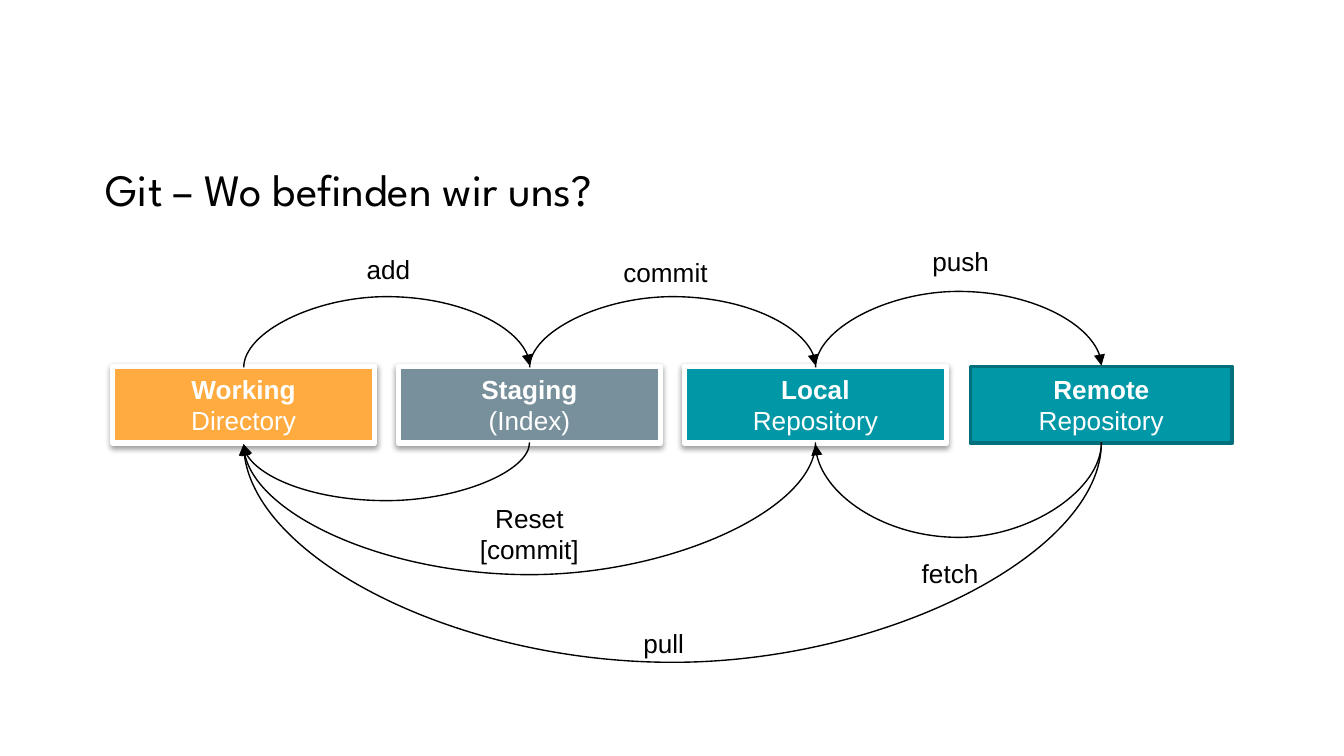
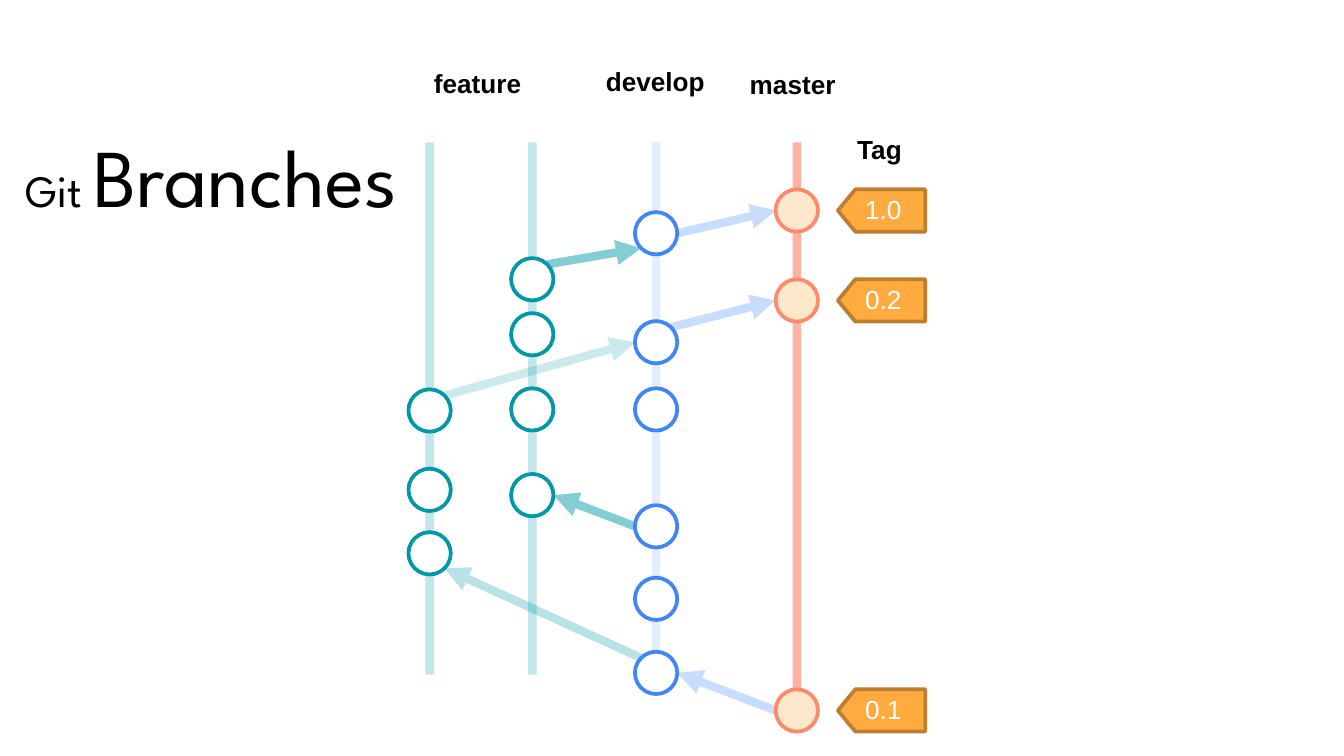
import math
from dataclasses import dataclass

import lxml.etree
import pptx
import pptx.dml.color
import pptx.enum.shapes
import pptx.enum.text
import pptx.oxml.ns
import pptx.util

Cm, Pt = pptx.util.Cm, pptx.util.Pt
SHAPE = pptx.enum.shapes.MSO_SHAPE
CONNECTOR = pptx.enum.shapes.MSO_CONNECTOR
ALIGN = pptx.enum.text.PP_ALIGN
ANCHOR = pptx.enum.text.MSO_ANCHOR
AUTO_SIZE = pptx.enum.text.MSO_AUTO_SIZE


@dataclass(frozen=True)
class Theme:
    title_font: str = "League Spartan"
    body_font: str = "Arial"
    title_size: int = 24
    title_large: int = 44
    body_size: int = 14
    black: str = "000000"
    white: str = "FFFFFF"
    orange: str = "FFAB40"
    orange_dark: str = "BD7F2F"
    slate: str = "78909C"
    teal: str = "0097A7"
    teal_dark: str = "00707C"
    blue: str = "4285F4"
    blue_light: str = "8EB6F8"
    coral: str = "FF5F38"
    coral_light: str = "FE8A6E"
    cream: str = "FEE8CC"


@dataclass(frozen=True)
class Box:
    """Position and size in centimetres."""
    left: float
    top: float
    width: float
    height: float

    def inner(self, left, top, width, height):
        return Box(self.left + left, self.top + top, width, height)

    def lengths(self):
        return [Cm(value) for value in
                (self.left, self.top, self.width, self.height)]


THEME = Theme()
LABEL_HEIGHT = 0.86


# Shared helpers
def rgb(value):
    return pptx.dml.color.RGBColor.from_string(value)


def add_xml(parent, tag, **attributes):
    child = lxml.etree.SubElement(parent, pptx.oxml.ns.qn(tag))
    for name, value in attributes.items():
        child.set(name, str(value))
    return child


def add_span(para, text, size=THEME.body_size, font=THEME.body_font,
             color=THEME.black, bold=False):
    span = para.add_run()
    span.text = text
    span.font.name = font
    span.font.size = Pt(size)
    span.font.bold = bold
    span.font.color.rgb = rgb(color)


def add_label(page, box, text, wrap=True, align=None, **style):
    label = page.shapes.add_textbox(*box.lengths())
    frame = label.text_frame
    frame.word_wrap = wrap
    frame.auto_size = AUTO_SIZE.SHAPE_TO_FIT_TEXT
    para = frame.paragraphs[0]
    para.alignment = align
    add_span(para, text, **style)


def add_block(page, kind, box, fill, line, weight):
    block = page.shapes.add_shape(kind, *box.lengths())
    block.shadow.inherit = False
    block.fill.solid()
    block.fill.fore_color.rgb = rgb(fill)
    block.line.color.rgb = rgb(line)
    block.line.width = Pt(weight)
    return block


def add_line(page, start, end, color, weight, kind=CONNECTOR.STRAIGHT,
             opacity=100, arrow=True):
    line = page.shapes.add_connector(
        kind, *(Cm(value) for value in (*start, *end)))
    line.line.color.rgb = rgb(color)
    line.line.width = Pt(weight)
    properties = line._element.spPr
    outline = properties.find(pptx.oxml.ns.qn("a:ln"))
    if opacity < 100:
        tint = outline.find(".//" + pptx.oxml.ns.qn("a:srgbClr"))
        add_xml(tint, "a:alpha", val=opacity * 1000)
    if arrow:
        add_xml(outline, "a:tailEnd", type="triangle")
    add_xml(properties, "a:effectLst")
    return line


def add_page(deck, box, spans):
    page = deck.slides.add_slide(deck.slide_layouts[5])
    title = page.shapes.title
    title.left, title.top, title.width, title.height = box.lengths()
    frame = title.text_frame
    frame.word_wrap = True
    frame.auto_size = AUTO_SIZE.NONE
    frame.vertical_anchor = ANCHOR.MIDDLE
    frame.margin_left = frame.margin_right = Cm(0.25)
    frame.margin_top = frame.margin_bottom = Cm(0.25)
    para = frame.paragraphs[0]
    para.alignment = ALIGN.LEFT
    for text, size in spans:
        add_span(para, text, size=size, font=THEME.title_font)
    return page


# Areas of a repository
def add_area(page, box, name, detail, fill, line, weight, shadow):
    area = add_block(page, SHAPE.RECTANGLE, box, fill, line, weight)
    if shadow:
        effects = area._element.spPr.find(pptx.oxml.ns.qn("a:effectLst"))
        cast = add_xml(effects, "a:outerShdw", blurRad=Pt(3.1), dist=Pt(1.6),
                       dir=5400000, algn="t", rotWithShape=0)
        tint = add_xml(cast, "a:srgbClr", val=THEME.black)
        add_xml(tint, "a:alpha", val=38000)
    frame = area.text_frame
    frame.word_wrap = True
    frame.auto_size = AUTO_SIZE.SHAPE_TO_FIT_TEXT
    frame.vertical_anchor = ANCHOR.TOP
    first, second = frame.paragraphs[0], frame.add_paragraph()
    first.alignment = second.alignment = ALIGN.CENTER
    add_span(first, name, color=THEME.white, bold=True)
    add_span(second, detail, color=THEME.white)


def add_arc(page, start_x, end_x, y, depth):
    """Arch over the row from left to right, or under it from right to left."""
    middle, half = (start_x + end_x) / 2, (end_x - start_x) / 2
    sliver = Pt(1).cm
    side = math.copysign(sliver / 2, half)
    # The connector is laid out upright and then turned by a quarter
    arc = add_line(page, (middle + side, y + half), (middle - side, y - half),
                   THEME.black, 0.75, kind=CONNECTOR.CURVE)
    properties = arc._element.spPr
    properties.find(pptx.oxml.ns.qn("a:xfrm")).set("rot", "5400000")
    guides = properties.find(".//" + pptx.oxml.ns.qn("a:avLst"))
    bend = round(depth / sliver * 100000)
    add_xml(guides, "a:gd", name="adj1", fmla=f"val {bend}")


def add_workflow(page, box):
    add_block(page, SHAPE.RECTANGLE, box.inner(-0.61, -0.63, 22.43, 6.65),
              THEME.white, THEME.white, 0.75)

    # Row of areas
    areas = [
        ("Working", "Directory", THEME.orange, THEME.white, 3, True),
        ("Staging", "(Index)", THEME.slate, THEME.white, 3, True),
        ("Local", "Repository", THEME.teal, THEME.white, 3, True),
        ("Remote", "Repository", THEME.teal, THEME.teal_dark, 2, False),
    ]
    area_width = 4.95
    step = (box.width - area_width) / (len(areas) - 1)
    for index, area in enumerate(areas):
        add_area(page, box.inner(index * step, 0, area_width, box.height),
                 *area)

    # Commands between areas: from, to, depth of the arc
    arcs = [(0, 1, 1.35), (1, 2, 1.35), (2, 3, 1.45),
            (3, 2, 1.81), (2, 0, 2.52), (1, 0, 1.11), (3, 0, 4.19)]
    first_x = box.left + area_width / 2
    for start, end, depth in arcs:
        y = box.top if start < end else box.top + box.height
        add_arc(page, first_x + start * step, first_x + end * step, y, depth)

    # Names of the commands
    for text, left, top, width in [
            ("add", 4.55, -2.26, 2.08), ("commit", 9.4, -2.21, 2.34),
            ("push", 15.24, -2.41, 2.34), ("fetch", 15.04, 3.48, 2.34),
            ("pull", 9.78, 4.8, 2.34)]:
        add_label(page, box.inner(left, top, width, LABEL_HEIGHT), text)
    add_label(page, box.inner(6.4, 2.44, 2.95, 1.45), "Reset [commit]",
              align=ALIGN.CENTER)


# Branch graph
def add_branches(page, box):
    diameter = 0.8
    radius = diameter / 2
    lane_top, lane_bottom = 1.69, 11.75
    # Lane: x, line colour, opacity, commit fill, commit outline, commit heights
    teal = (THEME.teal, 24, THEME.white, THEME.teal)
    lanes = {
        "feature 1": (0.12, *teal, [9.46, 8.26, 6.76]),
        "feature 2": (2.06, *teal, [8.36, 6.74, 5.32, 4.28]),
        "develop": (4.4, THEME.blue_light, 24, THEME.white, THEME.blue,
                    [11.72, 10.32, 8.95, 6.74, 5.47, 3.41]),
        "master": (7.06, THEME.coral, 47, THEME.cream, THEME.coral_light,
                   [12.43, 4.68, 2.98]),
    }

    def rim(lane, commit, degrees):
        angle = math.radians(degrees)
        x, heights = lanes[lane][0], lanes[lane][-1]
        return (box.left + x + radius * math.cos(angle),
                box.top + heights[commit] - radius * math.sin(angle))

    # Lanes; the master lane is interrupted by its commits
    for name, (x, color, opacity, _, _, heights) in lanes.items():
        stretches = [(lane_bottom, lane_top)]
        if name == "master":
            ends = [y - radius for y in heights]
            starts = [y + radius for y in heights[1:]] + [lane_top]
            stretches = zip(ends, starts)
        for start, end in stretches:
            add_line(page, (box.left + x, box.top + start),
                     (box.left + x, box.top + end),
                     color, 4.5, opacity=opacity, arrow=False)

    # Merges: lane, commit and angle on its rim, for start and end
    for start, end, color, opacity in [
            (("feature 1", 2, 45), ("develop", 4, 180), THEME.teal, 20),
            (("master", 0, 180), ("develop", 0, 0), THEME.blue_light, 47),
            (("develop", 4, 45), ("master", 1, 180), THEME.blue_light, 47),
            (("develop", 2, 180), ("feature 2", 0, 0), THEME.teal, 47),
            (("feature 2", 3, 45), ("develop", 5, 225), THEME.teal, 47),
            (("develop", 5, 0), ("master", 2, 180), THEME.blue_light, 47),
            (("develop", 0, 135), ("feature 1", 0, -45), THEME.teal, 28)]:
        add_line(page, rim(*start), rim(*end), color, 4.5, opacity=opacity)

    # Commits
    for x, _, _, fill, outline, heights in lanes.values():
        for y in heights:
            add_block(page, SHAPE.FLOWCHART_CONNECTOR,
                      box.inner(x - radius, y - radius, diameter, diameter),
                      fill, outline, 2)

    # Version tags beside the master commits
    tag_x, tag_width, tag_height = 8.66, 0.8, 1.65
    for version, y in zip(("0.1", "0.2", "1.0"), lanes["master"][-1]):
        tag = add_block(page, SHAPE.FLOWCHART_OFFPAGE_CONNECTOR,
                        box.inner(tag_x - tag_width / 2, y - tag_height / 2,
                                  tag_width, tag_height),
                        THEME.orange, THEME.orange_dark, 2)
        tag.rotation = 90
        add_label(page, box.inner(tag_x - 0.56, y - 0.44, 1.63, LABEL_HEIGHT),
                  version, color=THEME.white)

    # Headings
    for text, left, top, width, wrap in [
            ("feature", -0.05, 0.14, 3.28, True),
            ("develop", 3.2, 0.12, 2.39, False),
            ("master", 5.92, 0.17, 2.16, False),
            ("Tag", 7.95, 1.39, 1.4, False)]:
        add_label(page, box.inner(left, top, width, LABEL_HEIGHT), text,
                  wrap=wrap, bold=True)


def main():
    deck = pptx.Presentation()
    deck.slide_width, deck.slide_height = Cm(25.4), Cm(14.29)

    page = add_page(deck, Box(1.75, 2.57, 14.02, 2),
                    [("Git – Wo befinden wir uns?", THEME.title_size)])
    add_workflow(page, Box(2.13, 6.93, 21.16, 1.45))

    page = add_page(deck, Box(0.23, 2.31, 14.02, 2),
                    [("Git ", THEME.title_size),
                     ("Branches", THEME.title_large),
                     (" ", THEME.title_size)])
    add_branches(page, Box(8, 1, 9.6, 13))

    deck.save("out.pptx")


if __name__ == "__main__":
    main()
